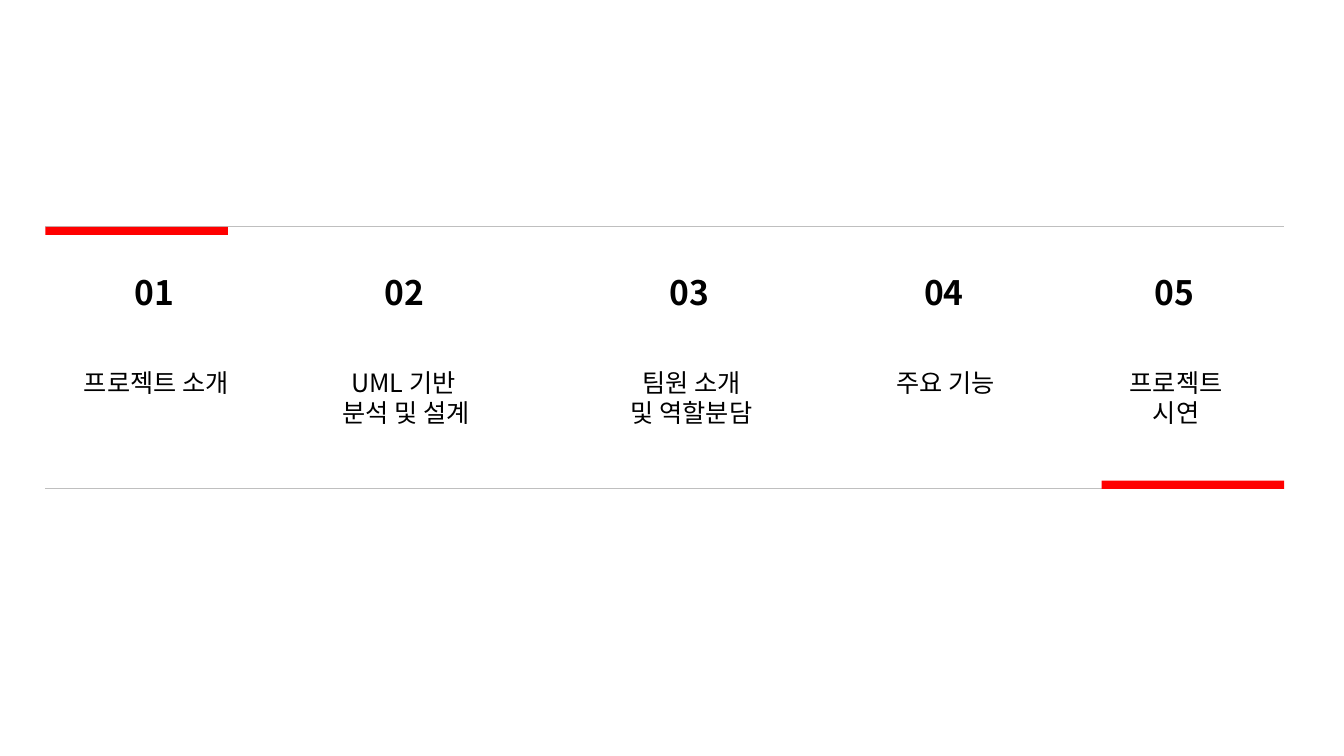
from lxml import etree
from pptx import Presentation
from pptx.dml.color import RGBColor
from pptx.enum import shapes, text
from pptx.oxml.ns import qn
from pptx.util import Pt

FONT = "Noto Sans CJK KR"
BLACK = RGBColor(0x00, 0x00, 0x00)
GRAY = RGBColor(0xBF, 0xBF, 0xBF)
RED = RGBColor(0xFF, 0x00, 0x00)

BAND_LEFT, BAND_RIGHT = 32.4, 917.3
BAND_TOP, BAND_BOTTOM = 162, 349.2
ACCENT_WIDTH, ACCENT_HEIGHT = 130.4, 5.8
TITLE_WIDTH, NUMBER_WIDTH = 164.2, 45.4
NUMBER_OFFSET = 59.7

# Left edge of each agenda item and the lines of its title
AGENDA = [
    (29.5, ["프로젝트 소개"]),
    (208.1, ["UML 기반 ", "분석 및 설계"]),
    (411.8, ["팀원 소개", "및 역할분담"]),
    (593.3, ["주요 기능"]),
    (758, ["프로젝트", "시연"]),
]


def add_rule(slide, y):
    rule = slide.shapes.add_connector(
        shapes.MSO_CONNECTOR.STRAIGHT, Pt(BAND_LEFT), Pt(y), Pt(BAND_RIGHT), Pt(y))
    rule.line.color.rgb = GRAY
    rule.line.width = Pt(0.75)
    etree.SubElement(rule._element.spPr, qn("a:effectLst"))


def add_accent(slide, left, top):
    accent = slide.shapes.add_shape(
        shapes.MSO_SHAPE.RECTANGLE, Pt(left), Pt(top), Pt(ACCENT_WIDTH), Pt(ACCENT_HEIGHT))
    accent.shadow.inherit = False
    accent.fill.solid()
    accent.fill.fore_color.rgb = RED
    accent.line.fill.background()


def add_text(slide, lines, left, top, width, height, *, size, bold=False,
             align=text.PP_ALIGN.LEFT):
    box = slide.shapes.add_textbox(Pt(left), Pt(top), Pt(width), Pt(height))
    frame = box.text_frame
    frame.word_wrap = True
    frame.auto_size = text.MSO_AUTO_SIZE.SHAPE_TO_FIT_TEXT
    for index, line in enumerate(lines):
        paragraph = frame.add_paragraph() if index else frame.paragraphs[0]
        paragraph.alignment = align
        run = paragraph.add_run()
        run.text = line
        run.font.size = Pt(size)
        run.font.bold = bold
        run.font.color.rgb = BLACK
        run.font.name = FONT
        etree.SubElement(run.font._element, qn("a:ea"), typeface=FONT)


def add_agenda_item(slide, number, left, title_lines):
    add_text(slide, [f"{number:02d}"], left + NUMBER_OFFSET, 190.8, NUMBER_WIDTH, 36,
             size=24, bold=True)
    add_text(slide, title_lines, left, 258.5, TITLE_WIDTH, 7.2 + 21.8 * len(title_lines),
             size=18, align=text.PP_ALIGN.CENTER)


def main():
    presentation = Presentation()
    presentation.slide_width = Pt(960)
    presentation.slide_height = Pt(540)
    slide = presentation.slides.add_slide(presentation.slide_layouts[6])

    for y in (BAND_TOP, BAND_BOTTOM):
        add_rule(slide, y)
    for number, (left, title_lines) in enumerate(AGENDA, start=1):
        add_agenda_item(slide, number, left, title_lines)
    add_accent(slide, BAND_LEFT, BAND_TOP)
    add_accent(slide, BAND_RIGHT - ACCENT_WIDTH, BAND_BOTTOM - ACCENT_HEIGHT)

    presentation.save("out.pptx")


if __name__ == "__main__":
    main()
